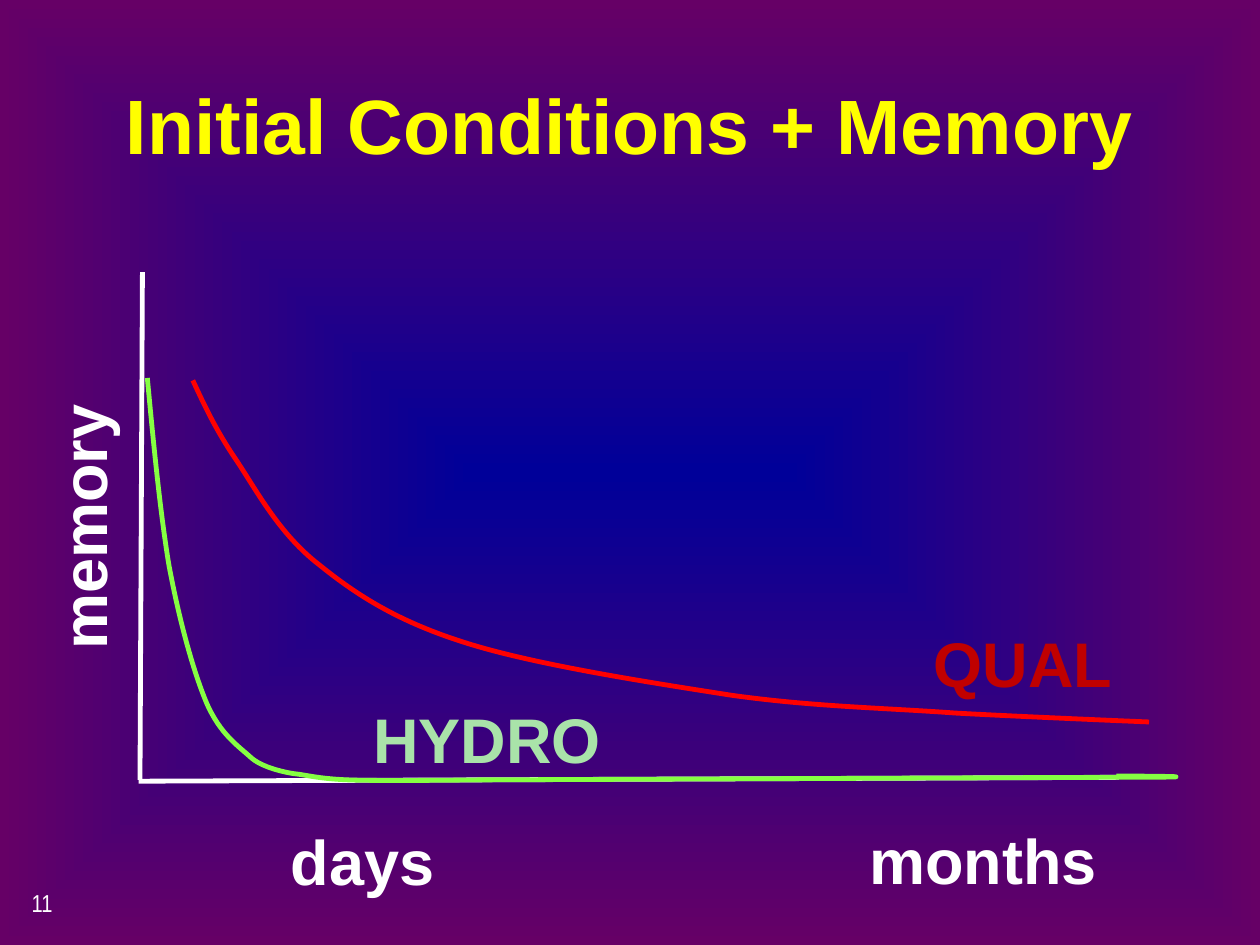
import pptx
import pptx.dml.color
import pptx.enum.shapes
import pptx.enum.text
import pptx.oxml
import pptx.oxml.ns
import pptx.util

Pt = pptx.util.Pt
RGB = pptx.dml.color.RGBColor.from_string
qn = pptx.oxml.ns.qn
ALIGN = pptx.enum.text.PP_ALIGN
ANCHOR = pptx.enum.text.MSO_ANCHOR
AUTO_SIZE = pptx.enum.text.MSO_AUTO_SIZE

COLORS = {
    "center": "000099", "edge": "660066", "title": "FFFF00", "white": "FFFFFF",
    "qual_curve": "FF0000", "qual_label": "C00000",
    "hydro_curve": "85FF42", "hydro_label": "A9E3A9",
}
LINE_WIDTH = 2.75

# A start point, then segments: three points make a Bezier curve, one a line.
QUAL_CURVE = [
    [(30.2, 61.4)],
    [(36.6, 75.1), (43.1, 89.5), (55.4, 107.5)],
    [(66.9, 124.8), (79.8, 149.3), (102.2, 166.6)],
    [(124.5, 184.6), (148.2, 199.7), (187.8, 211.9)],
    [(227.4, 224.2), (292.2, 234.2), (338.3, 241.4)],
    [(385.1, 247.9), (426.2, 248.6), (465.8, 251.5)],
    [(505.4, 253.7), (576.6, 256.6), (576.6, 256.6)],
]
HYDRO_CURVE = [
    [(4.2, 60)],
    [(7.8, 98.2), (11.4, 135.6), (16.5, 166.6)],
    [(22.2, 197.5), (30.2, 227), (38.1, 245.8)],
    [(46, 263.8), (56.1, 270.2), (64, 277.4)],
    [(71.9, 283.9), (87.8, 286.1), (87.8, 286.1)],
    [(95, 286.8), (101.4, 289), (119.4, 289.7)],
    [(136.7, 290.4), (192.2, 289.7), (192.2, 289.7)],
    [(556.5, 288.2)],
    [(617.7, 288.2), (587.4, 287.5), (557.9, 287.5)],
]


def add_text(shapes, text, box, size=36, font="Arial", color="white", bold=True,
             align=ALIGN.CENTER, anchor=ANCHOR.TOP, rotation=0, grow=False):
    shape = shapes.add_textbox(*(Pt(length) for length in box))
    shape.rotation = rotation
    frame = shape.text_frame
    frame.word_wrap = True
    frame.vertical_anchor = anchor
    if grow:
        frame.auto_size = AUTO_SIZE.SHAPE_TO_FIT_TEXT
    paragraph = frame.paragraphs[0]
    paragraph.alignment = align
    run = paragraph.add_run()
    run.text = text
    run.font.size = Pt(size)
    run.font.name = font
    run.font.bold = bold
    run.font.color.rgb = RGB(COLORS[color])


def style_line(shape, color):
    shape.line.color.rgb = RGB(COLORS[color])
    shape.line.width = Pt(LINE_WIDTH)


def add_axis(shapes, start, end):
    axis = shapes.add_connector(
        pptx.enum.shapes.MSO_CONNECTOR.STRAIGHT, *(Pt(v) for v in start + end))
    style_line(axis, "white")
    properties = axis._element.spPr
    properties.append(properties.makeelement(qn("a:effectLst"), {}))


def add_curve(shapes, left, top, curve, color):
    """Build the outline from its points, then join each three into a Bezier."""
    start, *points = [(Pt(left + x), Pt(top + y))
                      for segment in curve for x, y in segment]
    builder = shapes.build_freeform(*start)
    builder.add_line_segments(points, close=False)
    shape = builder.convert_to_shape()
    steps = iter(list(shape._element.iter(qn("a:lnTo"))))
    for segment in curve[1:]:
        step = next(steps)
        if len(segment) == 3:
            step.addprevious(bezier := step.makeelement(qn("a:cubicBezTo"), {}))
            for part in (step, next(steps), next(steps)):
                bezier.append(part[0])
                part.getparent().remove(part)
    shape.shadow.inherit = False
    shape.fill.background()
    style_line(shape, color)


def add_memory_graph(slide, left, top):
    shapes = slide.shapes.add_group_shape().shapes
    for start, end in [((1.4, -0.5), (0, 289.7)), ((559.4, 288.2), (-0.8, 290.4))]:
        add_axis(shapes, (left + start[0], top + start[1]),
                 (left + end[0], top + end[1]))
    add_curve(shapes, left, top, QUAL_CURVE, "qual_curve")
    add_curve(shapes, left, top, HYDRO_CURVE, "hydro_curve")
    labels = [
        ("memory", -120.3, 119.8, 175.7, "white", 270),
        ("QUAL", 445.6, 197.5, 118.1, "qual_label", 0),
        ("HYDRO", 106.5, 240.7, 183.6, "hydro_label", 0),
        ("days", 69, 310.6, 116.6, "white", 0),
        ("months", 389.4, 309.8, 185, "white", 0),
    ]
    for text, x, y, width, color, rotation in labels:
        add_text(shapes, text, (left + x, top + y, width, 51),
                 color=color, rotation=rotation, grow=True)


def set_background(slide):
    """Fill the slide with a rectangular gradient, from its center to its edge."""
    fill = slide.background.fill
    fill.gradient()
    for stop, position, color in zip(fill.gradient_stops, (0, 1), ("center", "edge")):
        stop.position = position
        stop.color.rgb = RGB(COLORS[color])
    linear = slide._element.find(".//" + qn("a:lin"))
    shape_gradient = pptx.oxml.parse_xml(
        f'<a:path {pptx.oxml.ns.nsdecls("a")} path="shape">'
        '<a:fillToRect l="50000" t="50000" r="50000" b="50000"/></a:path>')
    linear.getparent().replace(linear, shape_gradient)


def main():
    presentation = pptx.Presentation()
    presentation.slide_width, presentation.slide_height = Pt(720), Pt(540)
    slide = presentation.slides.add_slide(presentation.slide_layouts[6])
    set_background(slide)
    add_text(slide.shapes, "Initial Conditions + Memory", (54, 25.5, 612, 90),
             size=44, color="title", anchor=ANCHOR.MIDDLE)
    add_text(slide.shapes, "11", (11, 504, 150, 36), size=14, font="Arial Narrow",
             bold=False, align=ALIGN.LEFT)
    add_memory_graph(slide, 80, 156)
    presentation.save("out.pptx")


if __name__ == "__main__":
    main()
